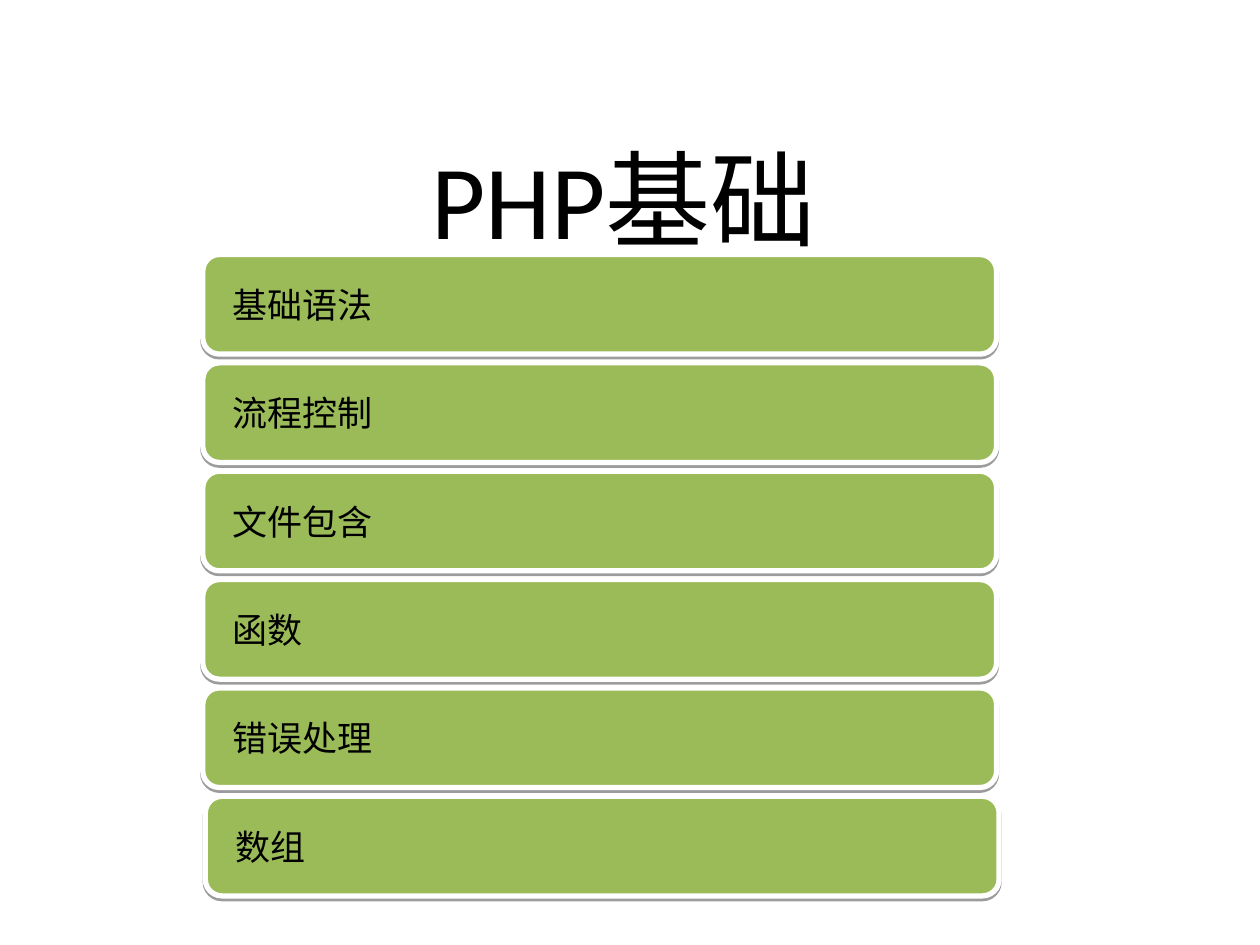
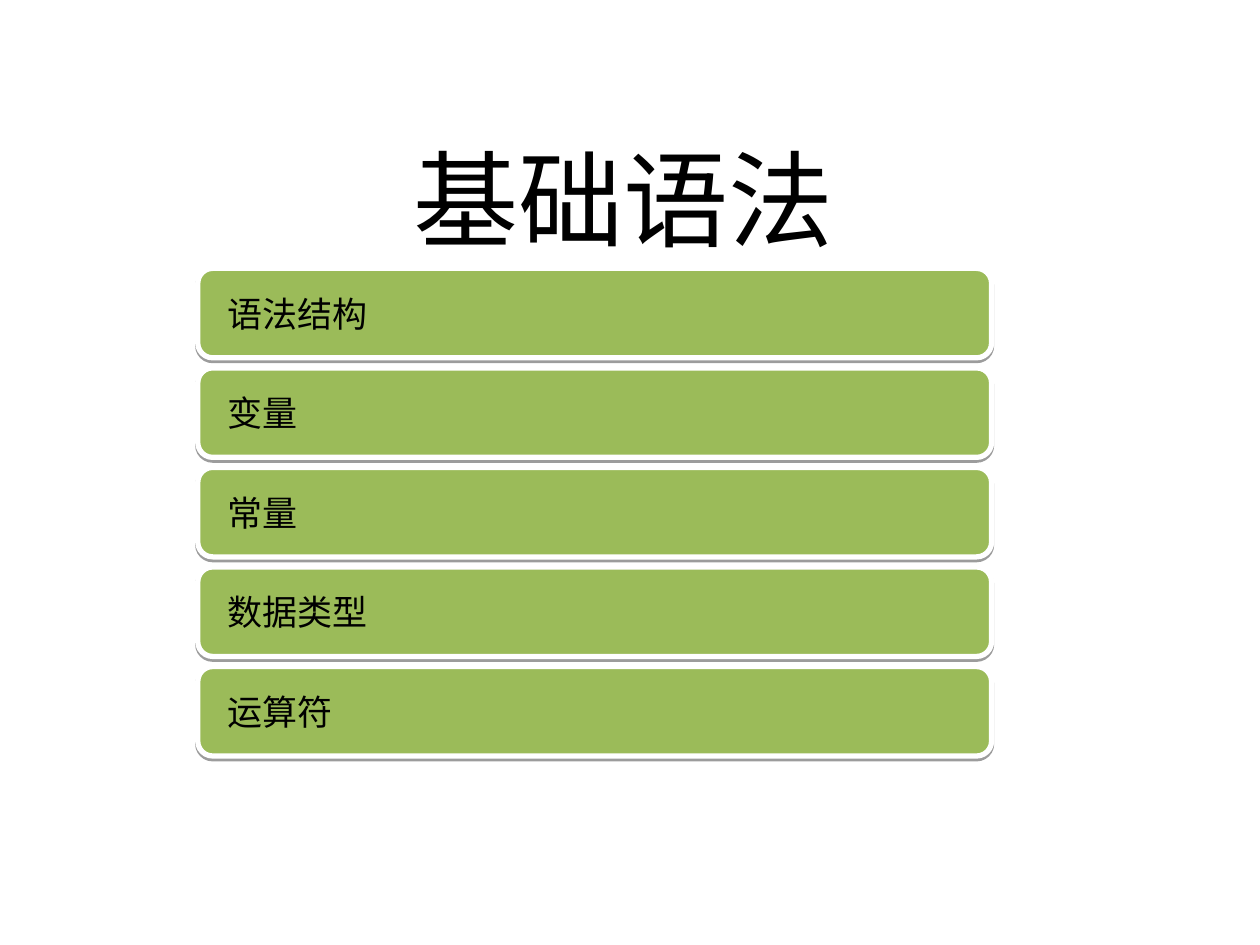
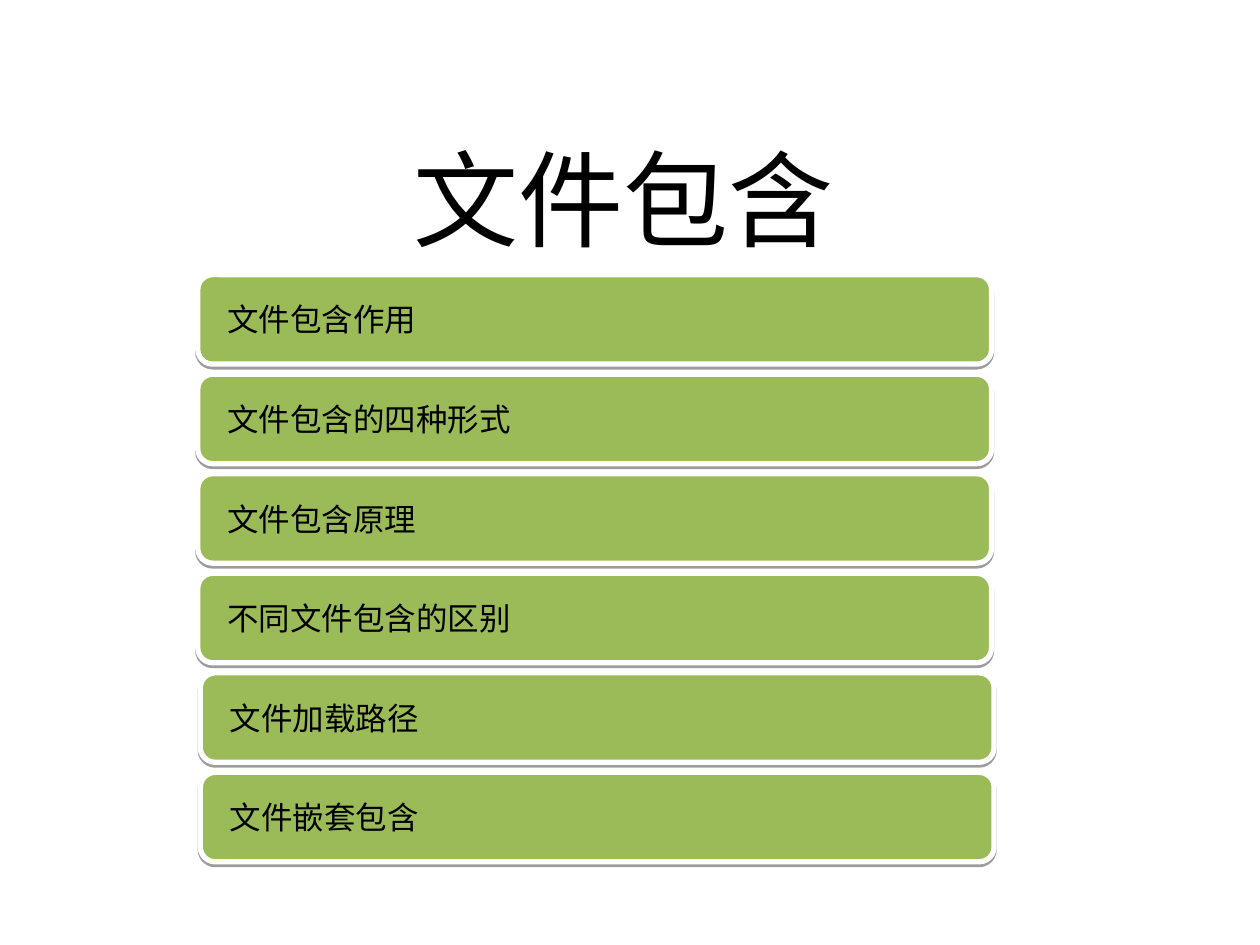
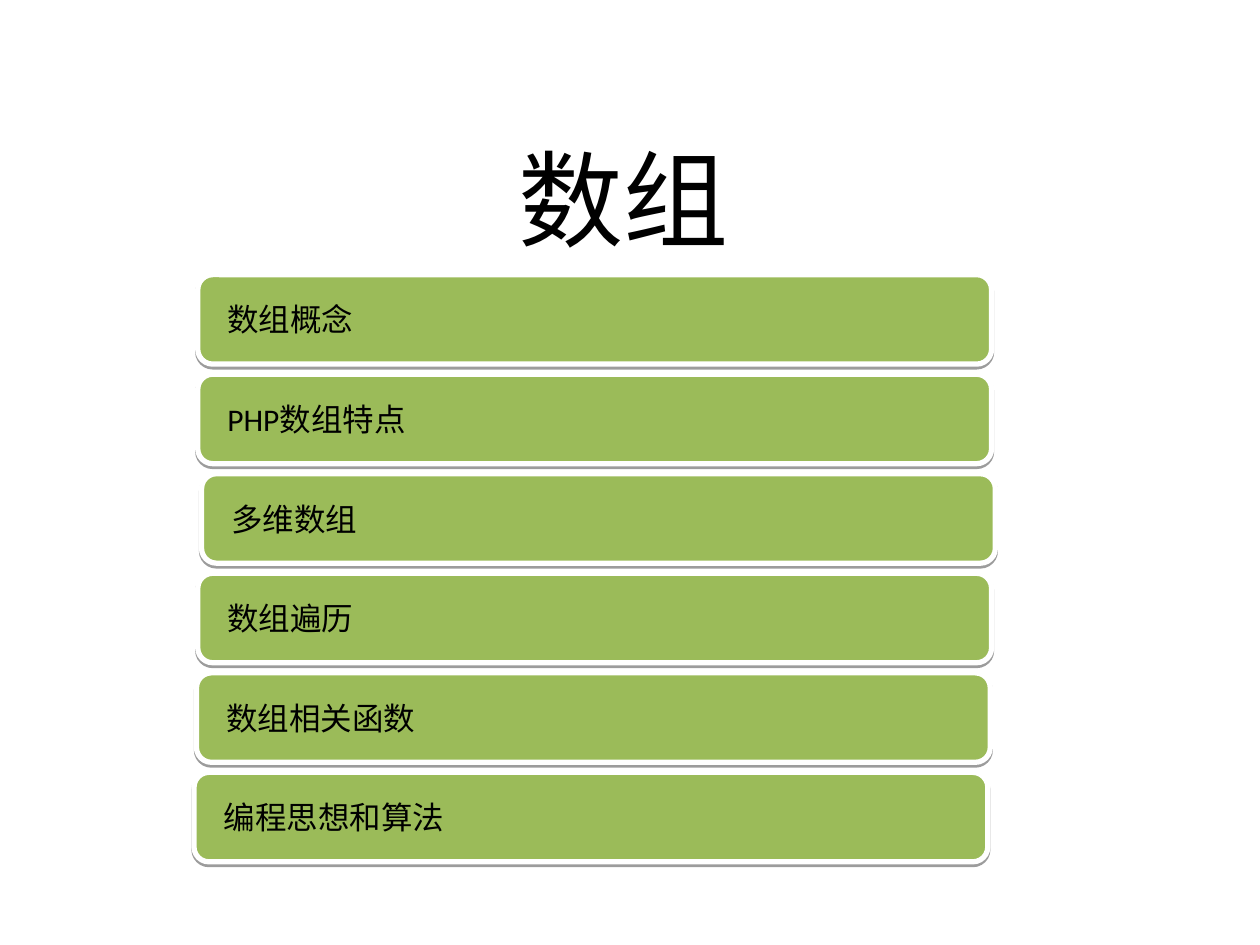
from lxml.etree import SubElement
from pptx import Presentation
from pptx.dml.color import RGBColor
from pptx.enum.shapes import MSO_SHAPE as Shape
from pptx.enum.text import MSO_ANCHOR as Anchor, MSO_AUTO_SIZE as AutoSize, PP_ALIGN as Align
from pptx.oxml.ns import qn
from pptx.util import Inches, Pt

COLORS = {"text": "000000", "bar": "9BBB59", "border": "FFFFFF", "shadow": "000000"}
FONT = "Calibri"
BAR_WIDTH = 6.3

TOPICS = [
    {"title": "PHP基础", "top": 2.02, "step": 0.86, "height": 0.79, "size": 20,
     "bars": [("基础语法", 1.61), ("流程控制", 1.61), ("文件包含", 1.61),
              ("函数", 1.61), ("错误处理", 1.61), ("数组", 1.63)]},
    {"title": "基础语法", "top": 2.13, "step": 0.79, "height": 0.71, "size": 20,
     "bars": [("语法结构", 1.57), ("变量", 1.57), ("常量", 1.57),
              ("数据类型", 1.57), ("运算符", 1.57)]},
    {"title": "文件包含", "top": 2.18, "step": 0.79, "height": 0.71, "size": 18,
     "bars": [("文件包含作用", 1.57), ("文件包含的四种形式", 1.57), ("文件包含原理", 1.57),
              ("不同文件包含的区别", 1.57), ("文件加载路径", 1.59), ("文件嵌套包含", 1.59)]},
    {"title": "数组", "top": 2.18, "step": 0.79, "height": 0.71, "size": 18,
     "bars": [("数组概念", 1.57), ("PHP数组特点", 1.57), ("多维数组", 1.6),
              ("数组遍历", 1.57), ("数组相关函数", 1.56), ("编程思想和算法", 1.54)]},
]


def write_text(shape, text, size, align, anchor, left_inset):
    text_frame = shape.text_frame
    text_frame.text = text
    text_frame.word_wrap = True
    text_frame.vertical_anchor = anchor
    text_frame.margin_left = Inches(left_inset)
    text_frame.margin_right = Inches(0.1)
    text_frame.margin_top = text_frame.margin_bottom = Inches(0.05)
    paragraph = text_frame.paragraphs[0]
    paragraph.alignment = align
    font = paragraph.runs[0].font
    font.name = FONT
    font.size = Pt(size)
    font.color.rgb = RGBColor.from_string(COLORS["text"])


def drop_shadow(shape):
    shape.shadow.inherit = False
    effects = shape._element.spPr.find(qn("a:effectLst"))
    shadow = SubElement(effects, qn("a:outerShdw"), blurRad="0", dist=str(Pt(1.6)),
                        dir="5400000", rotWithShape="0")
    color = SubElement(shadow, qn("a:srgbClr"), val=COLORS["shadow"])
    SubElement(color, qn("a:alpha"), val="38000")


presentation = Presentation()
presentation.slide_width = Inches(10)
presentation.slide_height = Inches(7.5)
title_only = presentation.slide_layouts[5]

for topic in TOPICS:
    slide = presentation.slides.add_slide(title_only)
    title = slide.shapes.title
    title.left, title.top = Inches(0.96), Inches(1.02)
    title.width, title.height = Inches(7.98), Inches(1.1)
    write_text(title, topic["title"], 60, Align.CENTER, Anchor.TOP, 0.1)
    title.text_frame.auto_size = AutoSize.SHAPE_TO_FIT_TEXT

    for row, (label, left) in enumerate(topic["bars"]):
        bar = slide.shapes.add_shape(
            Shape.ROUNDED_RECTANGLE, Inches(left), Inches(topic["top"] + row * topic["step"]),
            Inches(BAR_WIDTH), Inches(topic["height"]))
        bar.fill.solid()
        bar.fill.fore_color.rgb = RGBColor.from_string(COLORS["bar"])
        bar.line.color.rgb = RGBColor.from_string(COLORS["border"])
        bar.line.width = Pt(3)
        drop_shadow(bar)
        write_text(bar, label, topic["size"], Align.LEFT, Anchor.MIDDLE, 0.2)

presentation.save("out.pptx")
